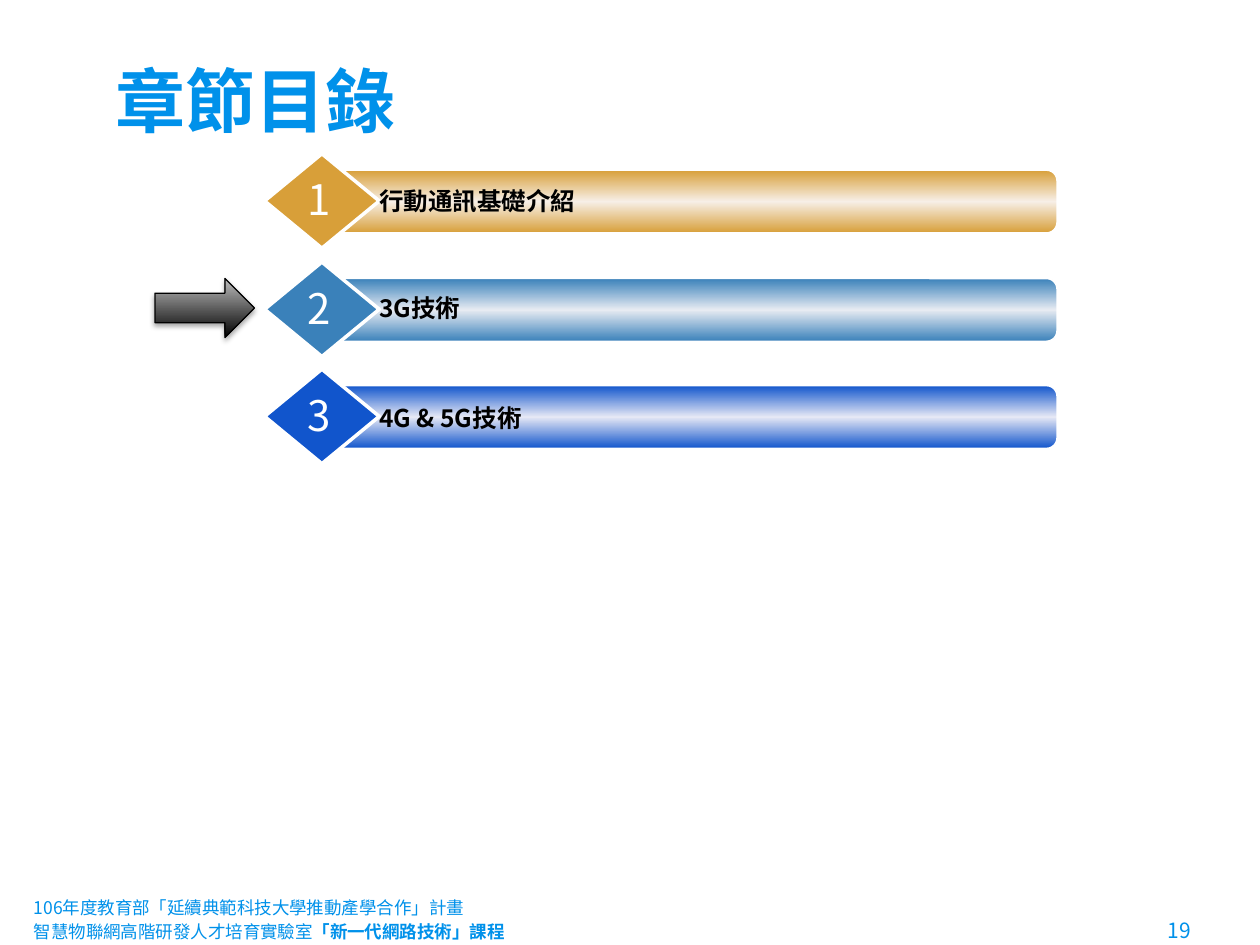
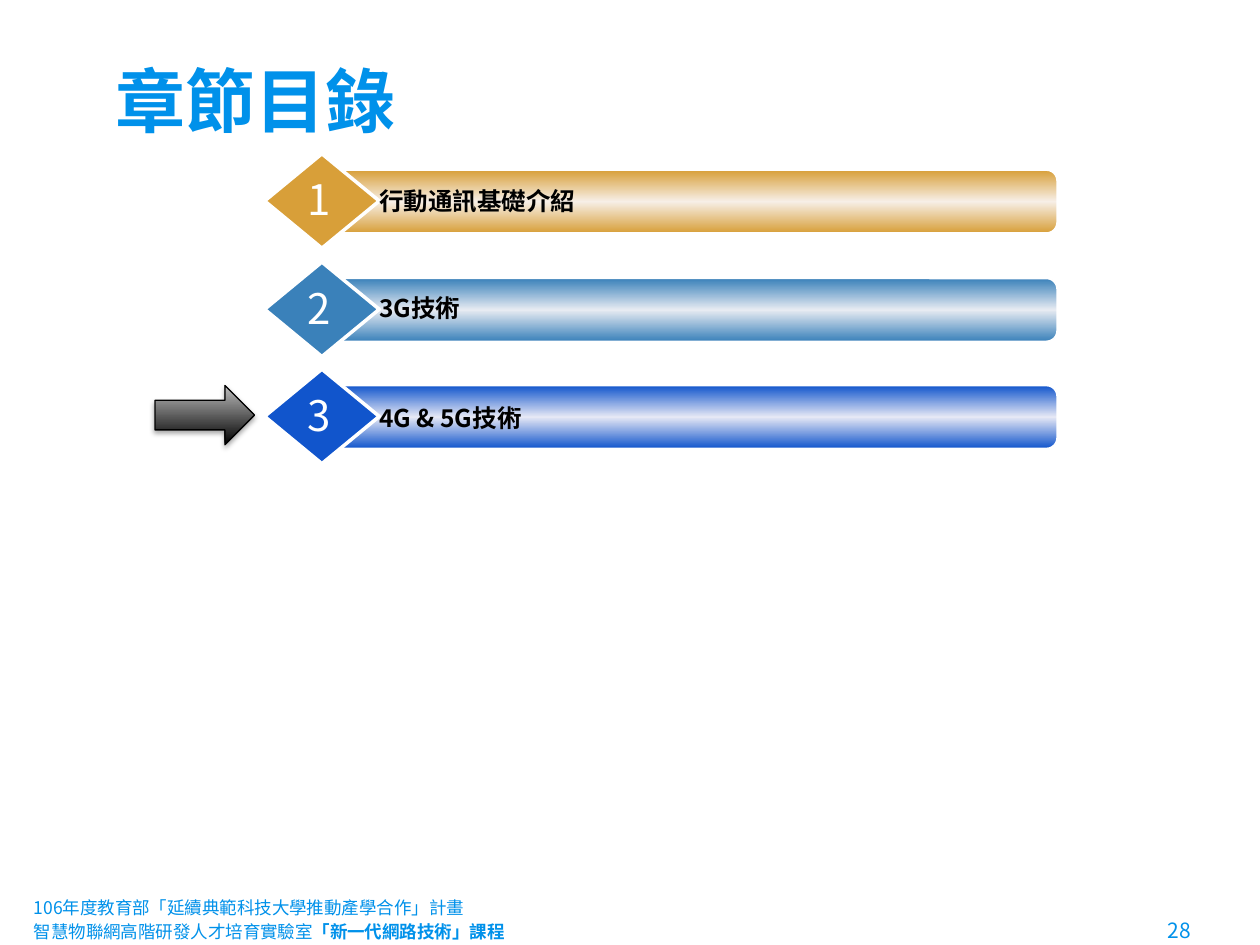
"""Build the two chapter-outline slides of a mobile networking course."""
from dataclasses import dataclass

from lxml import etree
from pptx import Presentation
from pptx.dml.color import RGBColor
from pptx.enum.shapes import MSO_SHAPE
from pptx.enum.text import MSO_ANCHOR, MSO_AUTO_SIZE, PP_ALIGN
from pptx.oxml.ns import qn
from pptx.util import Pt

ROUND_RECT = MSO_SHAPE.ROUNDED_RECTANGLE
DIAMOND = MSO_SHAPE.DIAMOND
RIGHT_ARROW = MSO_SHAPE.RIGHT_ARROW
TOP, MIDDLE, BOTTOM = MSO_ANCHOR.TOP, MSO_ANCHOR.MIDDLE, MSO_ANCHOR.BOTTOM
LEFT, JUSTIFY = PP_ALIGN.LEFT, PP_ALIGN.JUSTIFY
GROW = MSO_AUTO_SIZE.SHAPE_TO_FIT_TEXT

EMU_PER_PX = 9144
FIRST_ROW_TOP = 122
ROW_PITCH = 85.5
BAR_OFFSET = 13


@dataclass(frozen=True)
class Theme:
    font: str = "Noto Sans CJK SC"
    accent: str = "0091EA"
    ink: str = "000000"
    paper: str = "FFFFFF"
    arrow_light: str = "BDBDBD"
    title_size: int = 40
    number_size: int = 24
    label_size: int = 14
    page_size: int = 12
    footer_size: int = 10


@dataclass(frozen=True)
class Chapter:
    label: str
    color: str
    shine: str
    label_offset: int


CHAPTERS = (
    Chapter("行動通訊基礎介紹", "D89F39", "F7EFE7", 21),
    Chapter("3G技術", "3A81BA", "E7EBF2", 20),
    Chapter("4G & 5G技術", "1155CC", "E6E8F5", 22),
)
OUTLINES = ((2, 19), (3, 28))


def px(length):
    return round(length * EMU_PER_PX)


def row_top(index):
    return FIRST_ROW_TOP + round(index * ROW_PITCH)


class Deck:
    def __init__(self, theme):
        self.theme = theme
        self.presentation = Presentation()
        self.presentation.slide_width = px(1000)
        self.presentation.slide_height = px(750)
        self.slide = None

    def new_slide(self):
        blank = self.presentation.slide_layouts[6]
        self.slide = self.presentation.slides.add_slide(blank)

    def run(self, paragraph, text, size, color, bold=False):
        run = paragraph.add_run()
        run.text = text
        run.font.size = Pt(size)
        run.font.bold = bold
        run.font.name = self.theme.font
        run.font.color.rgb = RGBColor.from_string(color)
        east_asian = etree.SubElement(run.font._element, qn("a:ea"))
        east_asian.set("typeface", self.theme.font)

    def text_box(self, parent, box, anchor=TOP, align=LEFT, wrap=True):
        frame = parent.shapes.add_textbox(*map(px, box)).text_frame
        frame.word_wrap = wrap
        frame.vertical_anchor = anchor
        frame.paragraphs[0].alignment = align
        return frame

    def shape(self, parent, kind, box, line_color, line_width):
        shape = parent.shapes.add_shape(kind, *map(px, box))
        shape.shadow.inherit = False
        shape.line.color.rgb = RGBColor.from_string(line_color)
        shape.line.width = Pt(line_width)
        return shape

    def gradient(self, shape, colors, angle):
        shape.fill.gradient()
        shape.fill.gradient_angle = angle
        stops = shape._element.spPr.find(qn("a:gradFill")).find(qn("a:gsLst"))
        for stop in list(stops):
            stops.remove(stop)
        for index, color in enumerate(colors):
            position = 100000 * index // (len(colors) - 1)
            stop = etree.SubElement(stops, qn("a:gs"), pos=str(position))
            etree.SubElement(stop, qn("a:srgbClr"), val=color)

    def drop_shadow(self, shape):
        effects = shape._element.spPr.find(qn("a:effectLst"))
        shadow = etree.SubElement(
            effects, qn("a:outerShdw"), blurRad=str(Pt(3.1)), dist=str(Pt(1.8)),
            dir="5400000", rotWithShape="0")
        color = etree.SubElement(shadow, qn("a:srgbClr"), val=self.theme.ink)
        etree.SubElement(color, qn("a:alpha"), val="35000")

    def title(self, text):
        frame = self.text_box(self.slide, (82, 20, 828, 102), BOTTOM)
        frame.margin_top = frame.margin_bottom = px(10)
        self.run(frame.paragraphs[0], text, self.theme.title_size,
                 self.theme.accent, bold=True)

    def footer(self, page):
        theme = self.theme
        frame = self.text_box(self.slide, (17, 710, 966, 40), MIDDLE)
        self.run(frame.paragraphs[0],
                 "106年度教育部「延續典範科技大學推動產學合作」計畫",
                 theme.footer_size, theme.accent)
        course = frame.add_paragraph()
        tabs = etree.SubElement(course._p.get_or_add_pPr(), qn("a:tabLst"))
        etree.SubElement(tabs, qn("a:tab"), pos=str(px(900)), algn="l")
        self.run(course, "智慧物聯網高階研發人才培育實驗室",
                 theme.footer_size, theme.accent)
        self.run(course, "「新一代網路技術」課程",
                 theme.footer_size, theme.accent, bold=True)
        self.run(course, f"\t{page}", theme.page_size, theme.accent)

    def chapter_row(self, index, chapter):
        theme = self.theme
        top = row_top(index)
        row = self.slide.shapes.add_group_shape()
        bar = self.shape(row, ROUND_RECT, (260, top + BAR_OFFSET, 579, 50),
                         theme.paper, 1)
        bar.adjustments[0] = 0.17
        self.gradient(bar, (chapter.color, chapter.shine, chapter.color), 270)
        badge = self.shape(row, DIAMOND, (210, top, 91, 75), theme.paper, 2)
        badge.fill.solid()
        badge.fill.fore_color.rgb = RGBColor.from_string(chapter.color)
        label = self.text_box(row, (291, top + chapter.label_offset, 541, 34),
                              align=JUSTIFY)
        label.auto_size = GROW
        self.run(label.paragraphs[0], chapter.label, theme.label_size,
                 theme.ink, bold=True)
        number = self.text_box(row, (234, top + 11, 40, 51),
                               align=JUSTIFY, wrap=False)
        number.auto_size = GROW
        self.run(number.paragraphs[0], str(index + 1), theme.number_size,
                 theme.paper)

    def current_arrow(self, index):
        top = row_top(index) + BAR_OFFSET
        arrow = self.shape(self.slide, RIGHT_ARROW, (123, top, 79, 47),
                           self.theme.ink, 0.75)
        self.gradient(arrow, (self.theme.ink, self.theme.arrow_light), 90)
        self.drop_shadow(arrow)

    def outline(self, current, page):
        self.new_slide()
        self.footer(page)
        self.title("章節目錄")
        self.current_arrow(current - 1)
        for index, chapter in enumerate(CHAPTERS):
            self.chapter_row(index, chapter)


def main():
    deck = Deck(Theme())
    for current, page in OUTLINES:
        deck.outline(current, page)
    deck.presentation.save("out.pptx")


if __name__ == "__main__":
    main()
